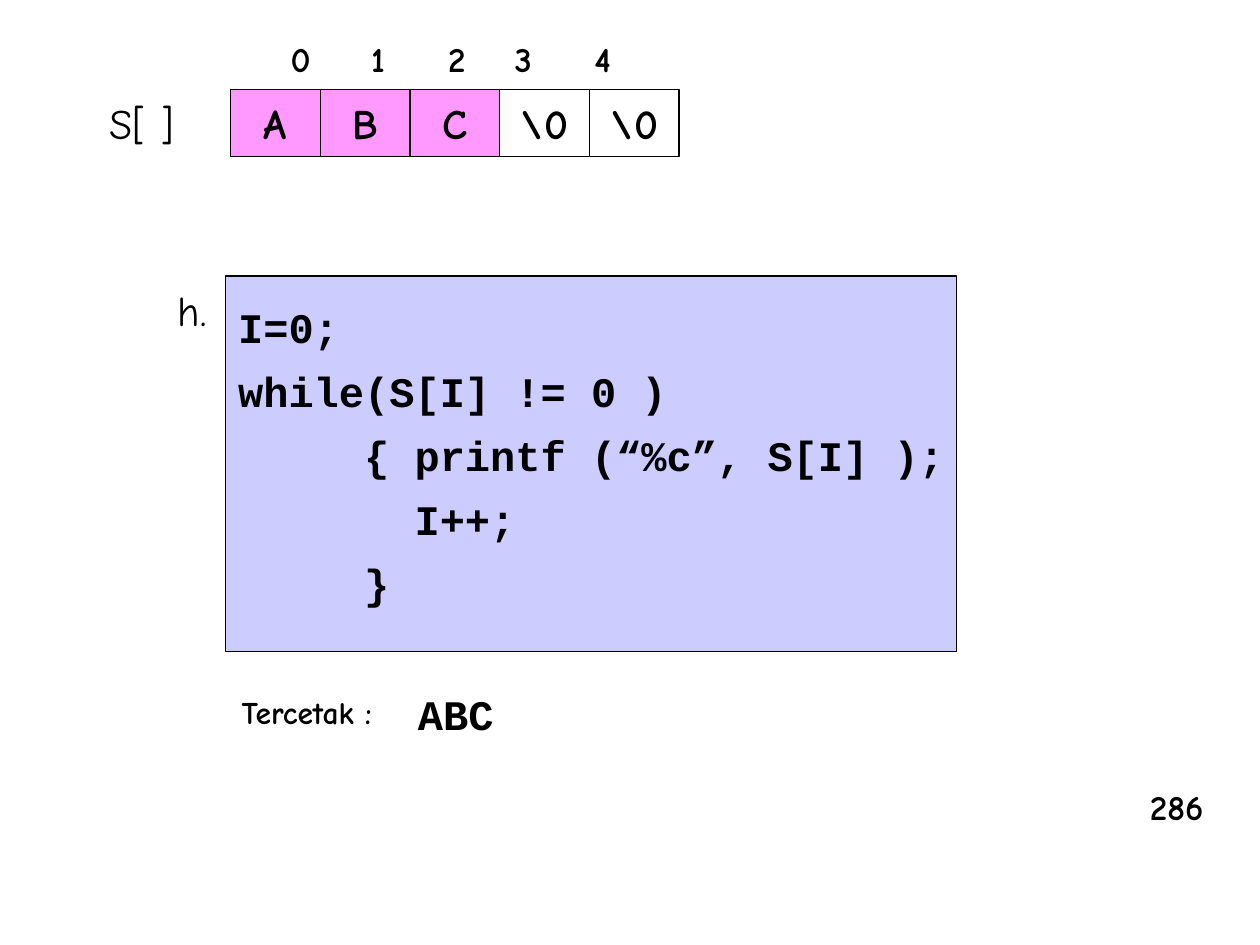
import dataclasses

import lxml.etree
import pptx
import pptx.dml.color
import pptx.enum.shapes
import pptx.enum.text
import pptx.oxml.ns
import pptx.util

Pt = pptx.util.Pt
RGBColor = pptx.dml.color.RGBColor


@dataclasses.dataclass(frozen=True)
class Theme:
    """Colours, fonts and type sizes of the slide."""

    ink: RGBColor = RGBColor(0x00, 0x00, 0x00)
    filled_cell: RGBColor = RGBColor(0xFF, 0x99, 0xFF)
    code_panel: RGBColor = RGBColor(0xCC, 0xCC, 0xFF)
    hand_font: str = "Comic Neue"
    code_font: str = "Courier New"
    large: int = 24
    medium: int = 20
    small: int = 18


THEME = Theme()
CODE_LINES = [
    "I=0;",
    "while(S[I] != 0 )",
    "     { printf (“%c”, S[I] );",
    "       I++;",
    "     }",
]


def style_text(frame, font_name, size, bold):
    """Format every run of a text frame alike."""
    frame.word_wrap = False
    for paragraph in frame.paragraphs:
        for span in paragraph.runs:
            span.font.name = font_name
            span.font.size = Pt(size)
            span.font.bold = bold
            span.font.color.rgb = THEME.ink


def add_label(page, text, left, top, width, height,
              size=THEME.large, bold=True, font_name=THEME.hand_font):
    """Add a single-line text box and return its paragraph."""
    box = page.shapes.add_textbox(Pt(left), Pt(top), Pt(width), Pt(height))
    box.text_frame.text = text
    style_text(box.text_frame, font_name, size, bold)
    return box.text_frame.paragraphs[0]


def add_tab_stops(paragraph, stops):
    """Give a paragraph left-aligned tab stops."""
    properties = paragraph._p.get_or_add_pPr()
    tab_list = lxml.etree.SubElement(properties, pptx.oxml.ns.qn("a:tabLst"))
    for stop in stops:
        lxml.etree.SubElement(tab_list, pptx.oxml.ns.qn("a:tab"),
                              pos=str(Pt(stop)), algn="l")


def add_panel(page, text, left, top, width, height, fill, font_name):
    """Add an outlined rectangle with bold text and return it."""
    panel = page.shapes.add_shape(
        pptx.enum.shapes.MSO_SHAPE.RECTANGLE,
        Pt(left), Pt(top), Pt(width), Pt(height))
    panel.shadow.inherit = False
    if fill is None:
        panel.fill.background()
    else:
        panel.fill.solid()
        panel.fill.fore_color.rgb = fill
    panel.line.color.rgb = THEME.ink
    panel.line.width = Pt(0.75)
    panel.text_frame.text = text
    style_text(panel.text_frame, font_name, THEME.large, True)
    return panel


def add_array(page, values, left, top, width, height):
    """Draw the array as a row of adjoining cells."""
    for index, value in enumerate(values):
        fill = None if value == "\\0" else THEME.filled_cell
        cell = add_panel(page, value, left + index * width, top,
                         width, height, fill, THEME.hand_font)
        cell.text_frame.vertical_anchor = pptx.enum.text.MSO_ANCHOR.MIDDLE
        cell.text_frame.paragraphs[0].alignment = pptx.enum.text.PP_ALIGN.CENTER


def add_code(page, lines, left, top, width, height):
    """Add the program listing in its tinted panel."""
    panel = add_panel(page, "\n".join(lines), left, top, width, height,
                      THEME.code_panel, THEME.code_font)
    frame = panel.text_frame
    frame.vertical_anchor = pptx.enum.text.MSO_ANCHOR.TOP
    frame.margin_top = Pt(8.9)
    for index, paragraph in enumerate(frame.paragraphs):
        paragraph.alignment = pptx.enum.text.PP_ALIGN.LEFT
        paragraph.line_spacing = 1.2
        if index:
            paragraph.space_before = Pt(2)


def main():
    """Build the slide and save it."""
    deck = pptx.Presentation()
    deck.slide_width, deck.slide_height = Pt(720), Pt(540)
    page = deck.slides.add_slide(deck.slide_layouts[6])

    indices = add_label(page, "0\t1\t2\t3\t4", 159, 18, 220, 32, THEME.medium)
    add_tab_stops(indices, [46, 90, 128, 173.5])
    add_label(page, "S[ ]", 55.5, 52, 51, 36, bold=False)
    add_array(page, ["A", "B", "C", "\\0", "\\0"], 131.75, 51.25, 51.25, 38)

    add_label(page, "h.", 94.5, 159, 31, 36, bold=False)
    add_code(page, CODE_LINES, 129, 157.75, 417.5, 214.5)

    add_label(page, "Tercetak :", 131, 392.5, 91, 29, THEME.small)
    add_label(page, "ABC", 231.75, 390, 58, 36, font_name=THEME.code_font)
    add_label(page, "286", 650, 445.5, 45, 32, THEME.medium)

    deck.save("out.pptx")


if __name__ == "__main__":
    main()
